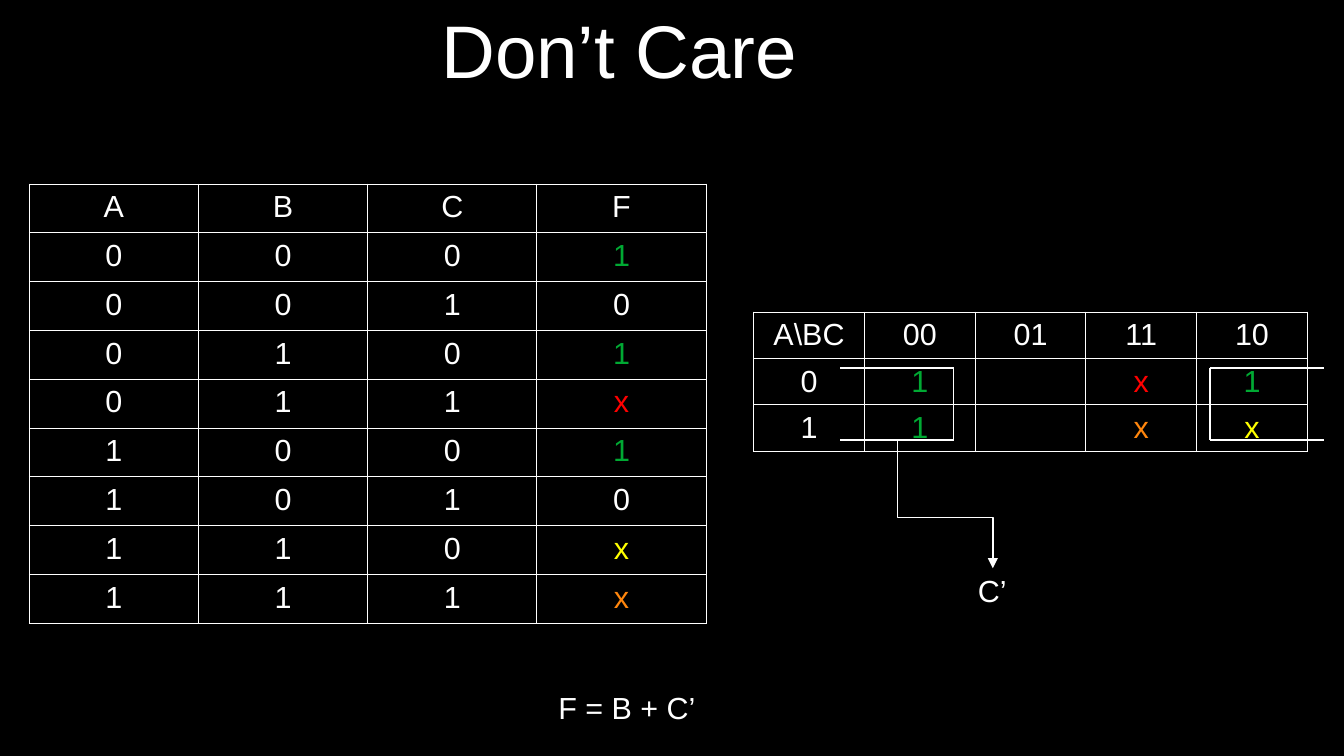
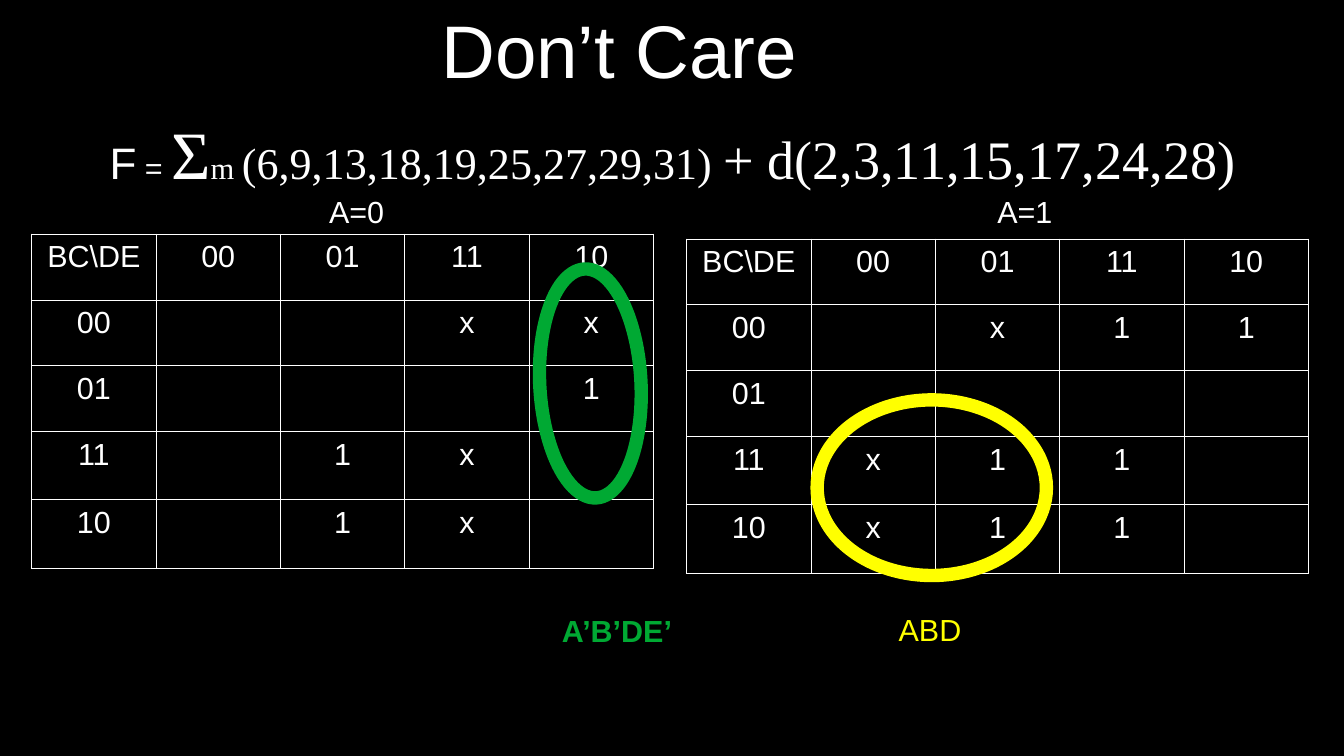
from lxml.etree import SubElement
from pptx import Presentation
from pptx.dml.color import RGBColor
from pptx.enum.shapes import MSO_CONNECTOR as Link, MSO_SHAPE as Shape
from pptx.enum.text import MSO_ANCHOR as Anchor, PP_ALIGN as Align
from pptx.oxml.ns import qn
from pptx.util import Inches, Pt

WHITE, BLACK = "FFFFFF", "000000"
GREEN, RED, YELLOW, ORANGE = "00A933", "FF0000", "FFFF00", "FF860D"
SANS, SERIF = "Arial", "Times New Roman"
BORDER, THIN, THICK = 0.57, 0.85, 7.91
TITLE = "Don’t Care"
TITLE_BOX = (0.16, 0.04, 9.84, 0.72)

# A cell is its text, or a pair of text and colour.
ONE = ("1", GREEN)
TRUTH_TABLE = [
    ["A", "B", "C", "F"],
    ["0", "0", "0", ONE],
    ["0", "0", "1", "0"],
    ["0", "1", "0", ONE],
    ["0", "1", "1", ("x", RED)],
    ["1", "0", "0", ONE],
    ["1", "0", "1", "0"],
    ["1", "1", "0", ("x", YELLOW)],
    ["1", "1", "1", ("x", ORANGE)],
]
SMALL_MAP = [
    ["A\\BC", "00", "01", "11", "10"],
    ["0", ONE, "", ("x", RED), ONE],
    ["1", ONE, "", ("x", ORANGE), ("x", YELLOW)],
]
GRAY_CODE = ["00", "01", "11", "10"]
MAP_A0 = [["", "", "x", "x"], ["", "", "", "1"], ["", "1", "x", ""], ["", "1", "x", ""]]
MAP_A1 = [["", "x", "1", "1"], ["", "", "", ""], ["x", "1", "1", ""], ["x", "1", "1", ""]]
MAP_ROWS = [0.54, 0.54, 0.54, 0.56, 0.56]
# label, label left, table left, table top, values
LARGE_MAPS = [
    ("A=0", 2.6, 0.26, 1.92, MAP_A0),
    ("A=1", 8.08, 5.63, 1.96, MAP_A1),
]
FORMULA = [
    ("F", 26, SANS),
    (" = ", 18, SANS),
    ("Σ", 40, SERIF),
    ("m ", 18, SERIF),
    ("(6,9,13,18,19,25,27,29,31) ", 26, SERIF),
    ("+ d(2,3,11,15,17,24,28)", 32, SERIF),
]
# inner and outer x of the brackets around the wrapped group
BRACKETS = [(7.82, 6.89), (9.92, 10.86)]
BRACKET_TOP, BRACKET_BOTTOM = 3.02, 3.61


def rgb(value):
    return RGBColor.from_string(value)


def inches(*lengths):
    return [Inches(length) for length in lengths]


def add_span(para, text, size=18, color=WHITE, font=SANS, bold=False):
    span = para.add_run()
    span.text = text
    span.font.size, span.font.name, span.font.bold = Pt(size), font, bold
    span.font.color.rgb = rgb(color)


def add_page(deck):
    page = deck.slides.add_slide(deck.slide_layouts[5])
    title = page.shapes.title
    title.left, title.top, title.width, title.height = inches(*TITLE_BOX)
    frame = title.text_frame
    frame.margin_left = frame.margin_right = frame.margin_top = frame.margin_bottom = 0
    frame.vertical_anchor = Anchor.MIDDLE
    frame.paragraphs[0].alignment = Align.CENTER
    add_span(frame.paragraphs[0], TITLE, size=44)
    return page


def add_label(page, box, spans, **style):
    """Add a one-line text box; spans is a text or a list of (text, size, font)."""
    frame = page.shapes.add_textbox(*inches(*box)).text_frame
    frame.word_wrap = True
    if isinstance(spans, str):
        add_span(frame.paragraphs[0], spans, **style)
    else:
        for text, size, font in spans:
            add_span(frame.paragraphs[0], text, size=size, font=font, **style)


def add_borders(cell):
    properties = cell._tc.get_or_add_tcPr()
    for side in ("a:lnL", "a:lnR", "a:lnT", "a:lnB"):
        line = SubElement(properties, qn(side), w=str(Pt(BORDER)))
        fill = SubElement(line, qn("a:solidFill"))
        SubElement(fill, qn("a:srgbClr"), val=WHITE)


def set_empty_font(para):
    """Give an empty paragraph the table's font, so that its row keeps its height."""
    end = SubElement(para._p, qn("a:endParaRPr"), sz="1800")
    SubElement(end, qn("a:latin"), typeface=SANS)


def add_grid(page, left, top, width, row_heights, rows):
    columns = len(rows[0])
    size = inches(left, top, width, sum(row_heights))
    table = page.shapes.add_table(len(rows), columns, *size).table
    table.first_row = table.horz_banding = False
    for column in table.columns:
        column.width = Inches(width / columns)
    for table_row, height, values in zip(table.rows, row_heights, rows):
        table_row.height = Inches(height)
        for cell, value in zip(table_row.cells, values):
            text, color = (value, WHITE) if isinstance(value, str) else value
            add_borders(cell)
            cell.fill.background()
            cell.margin_left = cell.margin_right = Inches(0.04)
            cell.margin_top = cell.margin_bottom = Inches(0.05)
            para = cell.text_frame.paragraphs[0]
            para.alignment = Align.CENTER
            if text:
                add_span(para, text, color=color)
            else:
                set_empty_font(para)


def add_line(page, start, end, kind=Link.STRAIGHT):
    line = page.shapes.add_connector(kind, *inches(*start, *end))
    line.line.color.rgb = rgb(WHITE)
    line.line.width = Pt(THIN)
    SubElement(line._element.spPr, qn("a:effectLst"))
    return line


def add_bracket(page, inner, outer):
    add_line(page, (inner, BRACKET_TOP), (inner, BRACKET_BOTTOM))
    for y in (BRACKET_TOP, BRACKET_BOTTOM):
        add_line(page, (inner, y), (outer, y))


def add_down_arrow(page, start, end, bend):
    """Add an elbow arrow that leaves and arrives vertically."""
    (x1, y1), (x2, y2) = start, end
    center_x, center_y = (x1 + x2) / 2, (y1 + y2) / 2
    half_width, half_height = (y2 - y1) / 2, (x2 - x1) / 2
    arrow = add_line(
        page,
        (center_x - half_width, center_y - half_height),
        (center_x + half_width, center_y + half_height),
        Link.ELBOW,
    )
    properties = arrow._element.spPr
    frame = properties.find(qn("a:xfrm"))
    frame.set("rot", str(270 * 60000))
    frame.set("flipH", "1")
    guides = properties.find(qn("a:prstGeom")).find(qn("a:avLst"))
    SubElement(guides, qn("a:gd"), name="adj1", fmla=f"val {round(bend * 100000)}")
    SubElement(properties.find(qn("a:ln")), qn("a:tailEnd"), type="triangle")


def add_ring(page, box, color, rotation=0):
    ring = page.shapes.add_shape(Shape.OVAL, *inches(*box))
    ring.shadow.inherit = False
    ring.fill.background()
    ring.line.color.rgb = rgb(color)
    ring.line.width = Pt(THICK)
    ring.rotation = rotation


def build_three_variables(deck):
    page = add_page(deck)
    add_grid(page, 6.18, 2.56, 4.54, [0.38] * len(SMALL_MAP), SMALL_MAP)
    add_grid(page, 0.24, 1.51, 5.55, [0.4] * len(TRUTH_TABLE), TRUTH_TABLE)
    for inner, outer in BRACKETS:
        add_bracket(page, inner, outer)
    add_label(page, (7.92, 4.64, 0.7, 0.38), "C’")
    add_down_arrow(page, (7.36, 3.62), (8.14, 4.66), 0.6)
    add_label(page, (4.48, 5.6, 1.6, 0.38), "F = B + C’")


def build_five_variables(deck):
    page = add_page(deck)
    add_label(page, (0.8, 0.87, 9.9, 0.71), FORMULA)
    for label, label_left, left, top, values in LARGE_MAPS:
        rows = [["BC\\DE"] + GRAY_CODE]
        rows += [[code] + row for code, row in zip(GRAY_CODE, values)]
        add_grid(page, left, top, 5.1, MAP_ROWS, rows)
        add_label(page, (label_left, 1.53, 0.9, 0.38), label)
    add_ring(page, (6.7, 3.28, 1.88, 1.44), YELLOW)
    add_label(page, (7.27, 4.96, 1, 0.38), "ABD", color=YELLOW)
    add_ring(page, (3.9, 2.73, 1.88, 0.83), GREEN, rotation=87.1)
    add_label(page, (4.51, 4.97, 1.4, 0.38), "A’B’DE’", color=GREEN, bold=True)


def main():
    deck = Presentation()
    deck.slide_width, deck.slide_height = inches(11.02, 6.2)
    background = deck.slide_master.background.fill
    background.solid()
    background.fore_color.rgb = rgb(BLACK)
    build_three_variables(deck)
    build_five_variables(deck)
    deck.save("out.pptx")


if __name__ == "__main__":
    main()
